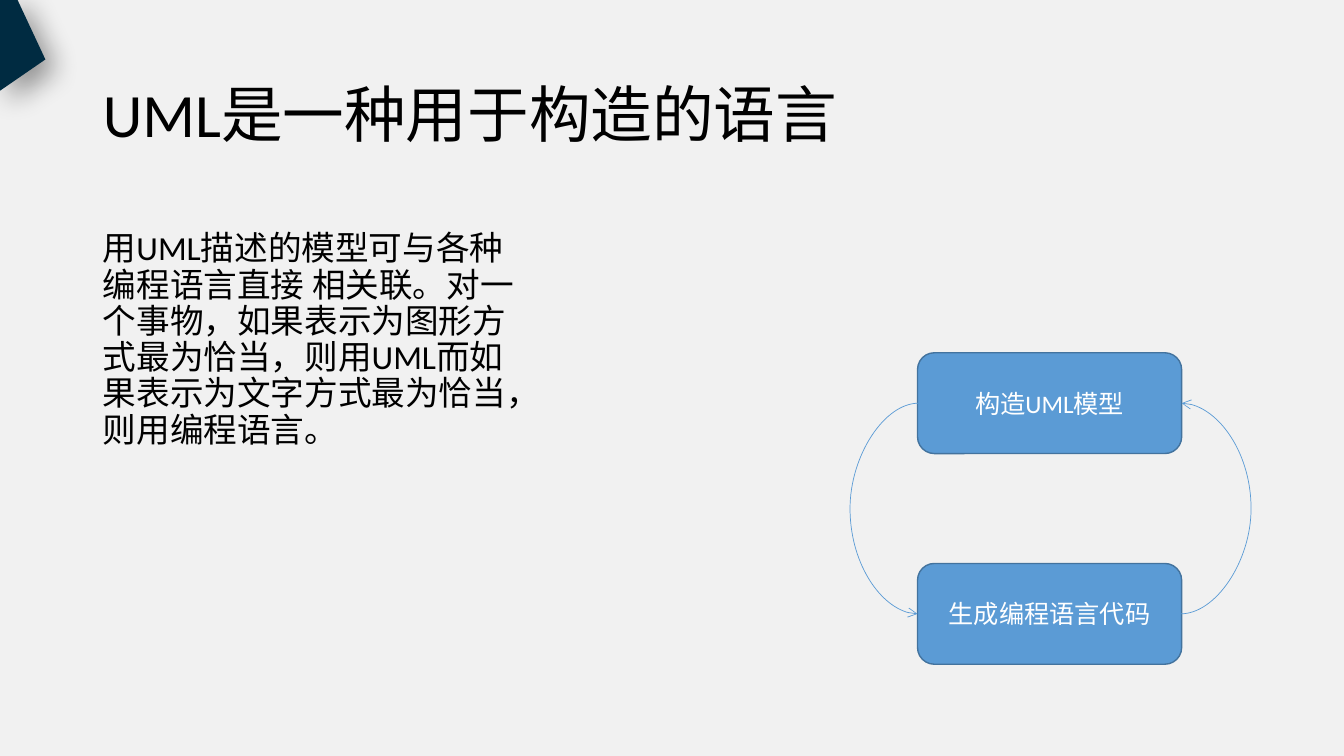
import pptx
import pptx.util
import pptx.dml.color
import pptx.enum.shapes
import pptx.enum.text
import pptx.oxml
import pptx.oxml.ns
import lxml.etree

Inches = pptx.util.Inches
Pt = pptx.util.Pt
RGBColor = pptx.dml.color.RGBColor
ANCHOR = pptx.enum.text.MSO_ANCHOR
ALIGN = pptx.enum.text.PP_ALIGN
qn = pptx.oxml.ns.qn

PAPER = RGBColor(0xF1, 0xF1, 0xF1)
INK = RGBColor(0, 0, 0)
WHITE = RGBColor(0xFF, 0xFF, 0xFF)
NAVY = RGBColor(0x00, 0x2B, 0x41)
BLUE = RGBColor(0x5B, 0x9B, 0xD5)
EDGE = RGBColor(0x43, 0x73, 0x9E)

SLIDE_WIDTH, SLIDE_HEIGHT = 13.33, 7.5
MARGIN = 0.92
BOX_LEFT, BOX_TOP, BOX_WIDTH, BOX_HEIGHT = 9.1, 3.5, 2.62, 1
BOX_STEP = 2.09
SLIVER = 0.01


def place(shape, left, top, width, height):
    shape.left, shape.top = Inches(left), Inches(top)
    shape.width, shape.height = Inches(width), Inches(height)


def write(shape, text, size, color, align, anchor):
    frame = shape.text_frame
    frame.word_wrap = True
    frame.auto_size = pptx.enum.text.MSO_AUTO_SIZE.NONE
    frame.vertical_anchor = anchor
    para = frame.paragraphs[0]
    para.alignment = align
    span = para.add_run()
    span.text = text
    span.font.name = "Calibri"
    span.font.size = Pt(size)
    span.font.color.rgb = color
    return para


deck = pptx.Presentation()
deck.slide_width, deck.slide_height = Inches(SLIDE_WIDTH), Inches(SLIDE_HEIGHT)
page = deck.slides.add_slide(deck.slide_layouts[1])
page.background.fill.solid()
page.background.fill.fore_color.rgb = PAPER

title, body = page.placeholders
place(title, MARGIN, 0.64, 9.85, 0.91)
para = write(title, "UML是一种用于构造的语言", 44, INK, ALIGN.LEFT, ANCHOR.BOTTOM)
para.line_spacing = 0.9

place(body, MARGIN, 2.25, 4.3, 4.17)
para = write(
    body,
    "用UML描述的模型可与各种编程语言直接 相关联。对一个事物，如果表示为图形方式最为恰当，"
    "则用UML而如果表示为文字方式最为恰当，则用编程语言。",
    24, INK, ALIGN.LEFT, ANCHOR.TOP)
para.line_spacing = 0.9
para.space_before = Pt(10)
settings = para._p.get_or_add_pPr()
settings.set("marL", "0")
settings.set("indent", "0")
lxml.etree.SubElement(settings, qn("a:buNone"))

outline = page.shapes.build_freeform(Inches(0.17), Inches(-0.01))
outline.add_line_segments(
    [(Inches(x), Inches(y)) for x, y in ((0, -0.01), (0, 0.9), (0.45, 0.59))], close=True)
corner = outline.convert_to_shape()
corner.fill.solid()
corner.fill.fore_color.rgb = NAVY
corner.line.fill.background()
corner.shadow.inherit = False
effects = corner._element.spPr.find(qn("a:effectLst"))
shade = lxml.etree.SubElement(
    effects, qn("a:outerShdw"), blurRad=str(Pt(20)), dist=str(Pt(10)), dir="2700000",
    algn="tl", rotWithShape="0")
tint = lxml.etree.SubElement(shade, qn("a:srgbClr"), val=str(INK))
lxml.etree.SubElement(tint, qn("a:alpha"), val="40000")

boxes = []
for row, label in enumerate(("构造UML模型", "生成编程语言代码")):
    box = page.shapes.add_shape(
        pptx.enum.shapes.MSO_SHAPE.ROUNDED_RECTANGLE, Inches(BOX_LEFT),
        Inches(BOX_TOP + row * BOX_STEP), Inches(BOX_WIDTH), Inches(BOX_HEIGHT))
    box.shadow.inherit = False
    box.fill.solid()
    box.fill.fore_color.rgb = BLUE
    box.line.color.rgb = EDGE
    box.line.width = Pt(1)
    write(box, label, 18, WHITE, ALIGN.CENTER, ANCHOR.MIDDLE)
    boxes.append(box)

model, code = boxes
for start, finish, side, outward, bulge in (
        (model, code, 1, -1, 0.69), (code, model, 3, 1, 0.71)):
    arc = page.shapes.add_connector(pptx.enum.shapes.MSO_CONNECTOR.CURVE, 0, 0, 0, 0)
    arc.begin_connect(start, side)
    arc.end_connect(finish, side)
    arc.begin_x = arc.end_x - outward * Inches(SLIVER)
    arc.line.color.rgb = BLUE
    arc.line.width = Pt(0.5)
    bend = arc._element.spPr.find(qn("a:prstGeom")).get_or_add_avLst()
    lxml.etree.SubElement(
        bend, qn("a:gd"), name="adj1", fmla=f"val {round(bulge / SLIVER * 100000)}")
    lxml.etree.SubElement(arc.line._get_or_add_ln(), qn("a:tailEnd"), type="arrow")
    lxml.etree.SubElement(arc._element.spPr, qn("a:effectLst"))

deck.save("out.pptx")
